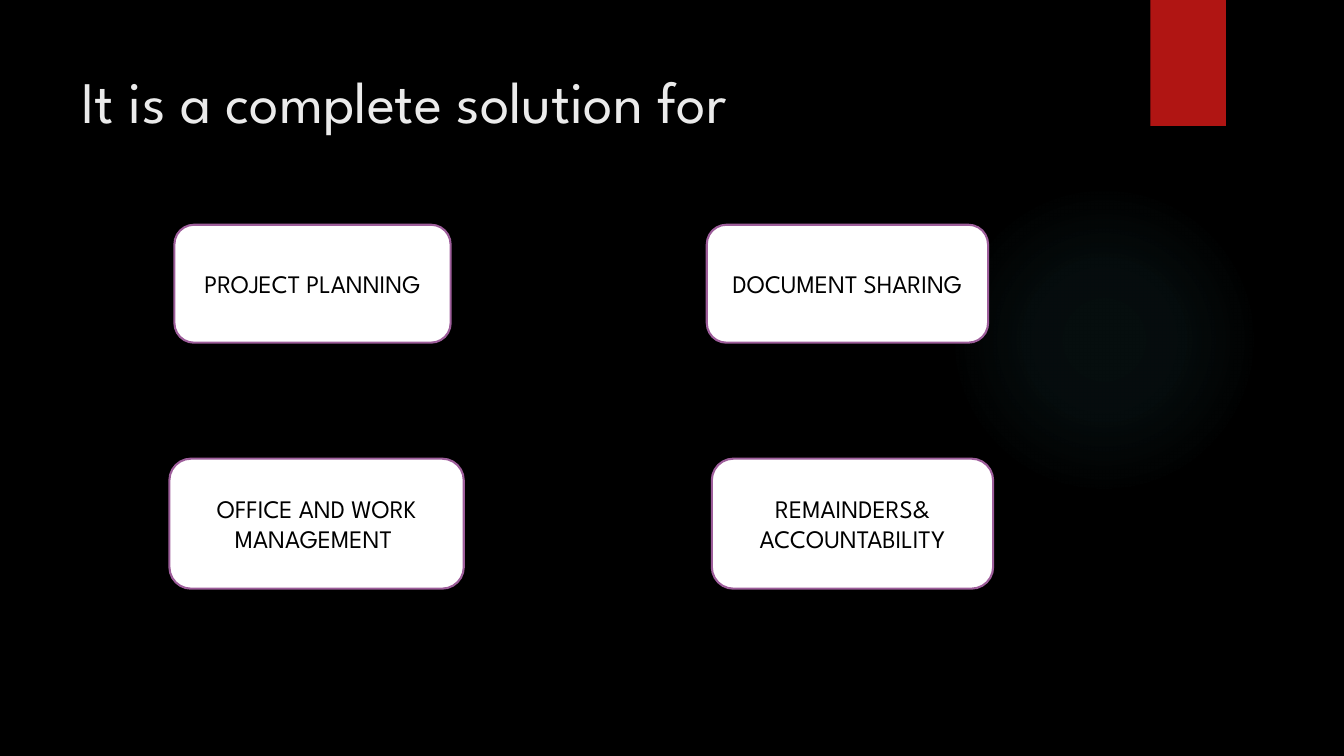
from lxml import etree
from pptx import Presentation
from pptx.dml.color import RGBColor
from pptx.enum.shapes import MSO_SHAPE
from pptx.enum.text import MSO_ANCHOR, PP_ALIGN
from pptx.util import Inches, Pt

OVAL, RECT, ROUNDED = MSO_SHAPE.OVAL, MSO_SHAPE.RECTANGLE, MSO_SHAPE.ROUNDED_RECTANGLE
MIDDLE, LEFT, CENTER = MSO_ANCHOR.MIDDLE, PP_ALIGN.LEFT, PP_ALIGN.CENTER

TITLE = "It is a complete solution for"
CARDS = [
    (["PROJECT PLANNING"], (1.73, 2.23, 2.74, 1.17)),
    (["OFFICE AND WORK MANAGEMENT "], (1.68, 4.55, 2.92, 1.29)),
    (["DOCUMENT SHARING"], (7.01, 2.23, 2.79, 1.17)),
    (["REMAINDERS&", "ACCOUNTABILITY"], (7.06, 4.55, 2.79, 1.29)),
]
GLOW_STOPS = [(0, 7), (36, 6), (69, 0)]
FONT = "League Spartan"
COLORS = {
    "background": "000000",
    "glow": "50B9C1",
    "ribbon": "B01513",
    "title": "EBEBEB",
    "card": "FFFFFF",
    "border": "9E5E9B",
    "text": "000000",
}
NS = "http://schemas.openxmlformats.org/drawingml/2006/main"


def color(name):
    """Return the palette colour as an RGBColor."""
    return RGBColor.from_string(COLORS[name])


def add_shape(slide, kind, box):
    """Add a preset shape without shadow or outline."""
    sp = slide.shapes.add_shape(kind, *map(Inches, box))
    sp.shadow.inherit = False
    sp.line.fill.background()
    return sp


def fill_solid(sp, name):
    """Fill a shape with one palette colour."""
    sp.fill.solid()
    sp.fill.fore_color.rgb = color(name)


def fill_glow(sp):
    """Fill a shape with a fading circular gradient."""
    stops = "".join(
        f'<a:gs pos="{pos * 1000}"><a:srgbClr val="{COLORS["glow"]}">'
        f'<a:alpha val="{alpha * 1000}"/></a:srgbClr></a:gs>'
        for pos, alpha in GLOW_STOPS
    )
    grad = etree.fromstring(
        f'<a:gradFill xmlns:a="{NS}" rotWithShape="1"><a:gsLst>{stops}</a:gsLst>'
        '<a:path path="circle"><a:fillToRect l="50000" t="50000" r="50000" b="50000"/>'
        "</a:path></a:gradFill>"
    )
    sp._element.spPr.insert(2, grad)


def write(tf, lines, size, name, align):
    """Write one paragraph per line, centred vertically."""
    tf.word_wrap = True
    tf.vertical_anchor = MIDDLE
    for i, line in enumerate(lines):
        p = tf.add_paragraph() if i else tf.paragraphs[0]
        p.text = line
        p.alignment = align
        p.font.name = FONT
        p.font.size = Pt(size)
        p.font.color.rgb = color(name)


def main():
    """Build the slide and save it."""
    prs = Presentation()
    prs.slide_width, prs.slide_height = Inches(13.33), Inches(7.5)
    slide = prs.slides.add_slide(prs.slide_layouts[6])
    slide.background.fill.solid()
    slide.background.fill.fore_color.rgb = color("background")

    fill_glow(add_shape(slide, OVAL, (9.41, 1.83, 3.08, 3.08)))
    fill_solid(add_shape(slide, RECT, (11.41, 0, 0.75, 1.25)), "ribbon")

    title = slide.shapes.add_textbox(*map(Inches, (0.71, 0.5, 10.29, 0.98)))
    write(title.text_frame, [TITLE], 42, "title", LEFT)

    for lines, box in CARDS:
        card = add_shape(slide, ROUNDED, box)
        fill_solid(card, "card")
        card.line.color.rgb = color("border")
        card.line.width = Pt(1.5)
        write(card.text_frame, lines, 18, "text", CENTER)

    prs.save("out.pptx")


if __name__ == "__main__":
    main()
